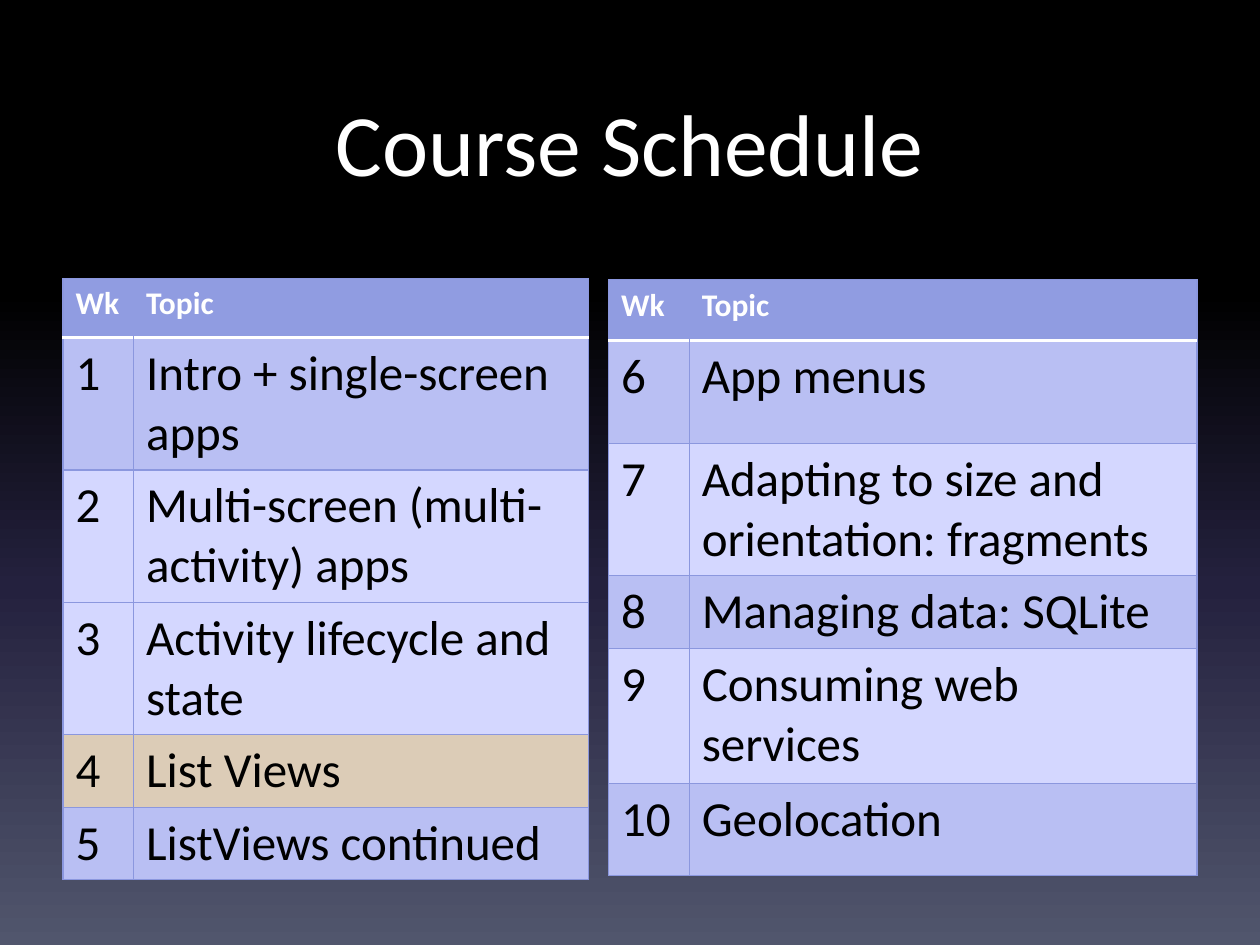
from lxml import etree
from pptx import Presentation
from pptx.dml.color import RGBColor
from pptx.enum.text import MSO_ANCHOR, PP_ALIGN
from pptx.oxml.ns import qn
from pptx.util import Inches, Pt

CENTER, MIDDLE = PP_ALIGN.CENTER, MSO_ANCHOR.MIDDLE
FONT = "Calibri"
WHITE = RGBColor(0xFF, 0xFF, 0xFF)
BLACK = RGBColor(0, 0, 0)
HEAD = RGBColor(0x90, 0x9C, 0xE1)
BAND = RGBColor(0xB9, 0xBF, 0xF3)
PALE = RGBColor(0xD4, 0xD7, 0xFF)
TAN = RGBColor(0xDC, 0xCC, 0xB7)
EDGE = RGBColor(0x8B, 0x97, 0xDE)
NO_STYLE = "{2D5ABB26-0587-4C30-8999-92F81FD0307C}"

STOPS = [(0, BLACK), (31, BLACK),
         (62, RGBColor(0x24, 0x21, 0x3E)), (100, RGBColor(0x51, 0x56, 0x6D))]
TITLE = "Course Schedule"
LABELS = ("Wk", "Topic")
# Each row: height, week, topic, fill
TABLES = [
    dict(left=0.5, top=2.21, cols=(0.56, 3.61), head=0.47, rows=[
        (1.03, 1, "Intro + single-screen apps", BAND),
        (1.03, 2, "Multi-screen (multi-activity) apps", PALE),
        (1.03, 3, "Activity lifecycle and state", PALE),
        (0.57, 4, "List Views", TAN),
        (0.57, 5, "ListViews continued", BAND)]),
    dict(left=4.83, top=2.22, cols=(0.64, 4.03), head=0.48, rows=[
        (0.82, 6, "App menus", BAND),
        (1.03, 7, "Adapting to size and orientation: fragments", PALE),
        (0.56, 8, "Managing data: SQLite", BAND),
        (1.07, 9, "Consuming web services", PALE),
        (0.73, 10, "Geolocation", BAND)]),
]


def add_color(node, color):
    """Append an RGB colour to an XML node."""
    etree.SubElement(node, qn("a:srgbClr"), val=str(color))


def paint_back(slide):
    """Give the slide its vertical gradient."""
    slide.background.fill.gradient()
    grad = slide.element.xpath(".//p:bgPr/a:gradFill")[0]
    for node in list(grad):
        grad.remove(node)
    stops = etree.SubElement(grad, qn("a:gsLst"))
    for pos, color in STOPS:
        add_color(etree.SubElement(stops, qn("a:gs"), pos=str(pos * 1000)), color)
    etree.SubElement(grad, qn("a:lin"), ang="5400000", scaled="0")


def set_edges(cell, edges):
    """Draw borders given as (side, colour, points), in L R T B order."""
    props = cell._tc.get_or_add_tcPr()
    for spot, (side, color, width) in enumerate(edges):
        line = etree.Element(qn("a:ln" + side), w=str(Pt(width)))
        add_color(etree.SubElement(line, qn("a:solidFill")), color)
        props.insert(spot, line)


def fill_cell(cell, text, fill, head, sides):
    """Set the text, fill and borders of one cell."""
    cell.text = str(text)
    font = cell.text_frame.paragraphs[0].font
    font.name, font.bold = FONT, head
    font.size = Pt(18 if head else 28)
    font.color.rgb = WHITE if head else BLACK
    cell.fill.solid()
    cell.fill.fore_color.rgb = fill
    set_edges(cell, sides)


def add_plan(slide, left, top, cols, head, rows):
    """Add one schedule table."""
    lines = [(head, *LABELS, HEAD)] + rows
    high = sum(line[0] for line in lines)
    frame = slide.shapes.add_table(len(lines), len(cols), Inches(left), Inches(top),
                                   Inches(sum(cols)), Inches(high))
    table = frame.table
    table.first_row = True
    table.horz_banding = False
    table._tbl.xpath(".//a:tableStyleId")[0].text = NO_STYLE
    for col, width in zip(table.columns, cols):
        col.width = Inches(width)
    thin, rule = (EDGE, 0.75), (WHITE, 2)
    for row, (height, *texts, fill) in enumerate(lines):
        table.rows[row].height = Inches(height)
        for col, text in enumerate(texts):
            sides = [("L", *thin), ("R", *thin),
                     ("T", *(rule if row == 1 else thin)),
                     ("B", *(rule if row == 0 else thin))]
            if row == 0:
                del sides[1 - col]
            fill_cell(table.cell(row, col), text, fill, row == 0, sides)


def add_title(slide):
    """Place and format the title."""
    title = slide.shapes.title
    title.left, title.top = Inches(0.5), Inches(0.5)
    title.width, title.height = Inches(9), Inches(1.25)
    title.text_frame.text = TITLE
    title.text_frame.vertical_anchor = MIDDLE
    para = title.text_frame.paragraphs[0]
    para.alignment = CENTER
    para.font.name, para.font.size = FONT, Pt(50)
    para.font.color.rgb = WHITE


prs = Presentation()
prs.slide_width, prs.slide_height = Inches(10), Inches(7.5)
slide = prs.slides.add_slide(prs.slide_layouts[5])
paint_back(slide)
add_title(slide)
for plan in TABLES:
    add_plan(slide, **plan)
prs.save("out.pptx")
